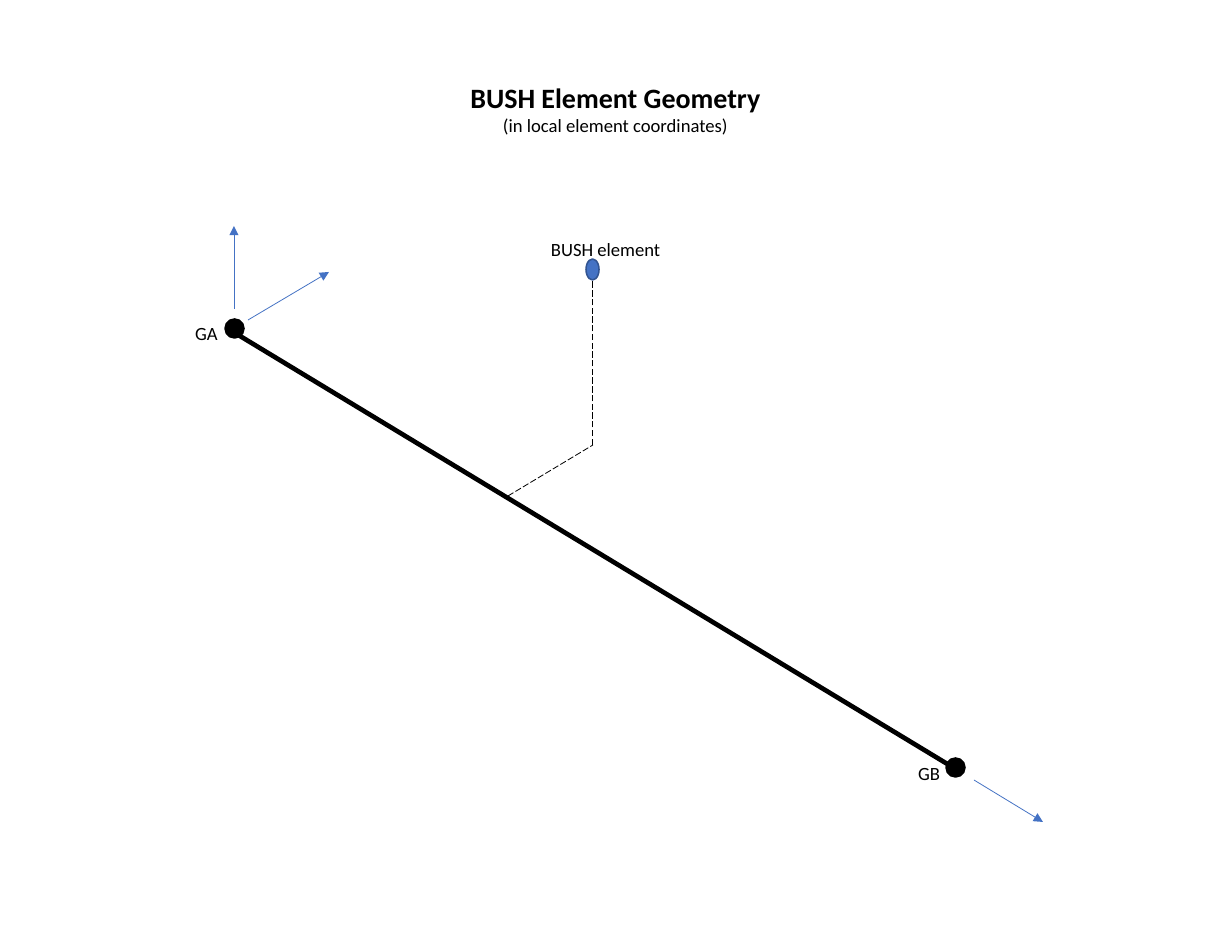
from pptx import Presentation
from pptx.dml.color import RGBColor
from pptx.enum.dml import MSO_LINE
from pptx.enum.shapes import MSO_CONNECTOR, MSO_SHAPE
from pptx.enum.text import MSO_ANCHOR, MSO_AUTO_SIZE, PP_ALIGN
from pptx.oxml.ns import qn
from pptx.util import Pt
from lxml.etree import SubElement

THEME = {
    "font": "Calibri",
    "black": RGBColor(0x00, 0x00, 0x00),
    "blue": RGBColor(0x44, 0x72, 0xC4),
    "outline": RGBColor(0x32, 0x54, 0x91),
    "title": Pt(18),
    "body": Pt(12),
}

SIZE = (1232, 952)
TITLE_BOX = (458, 75, 315, 68)
TITLE = [
    ("BUSH Element Geometry", "title", True),
    ("(in local element coordinates)", "body", False),
]
LABELS = [
    ("BUSH element", (540, 232, 133, 34)),
    ("GA", (184, 316, 46, 34)),
    ("GB", (907, 756, 45, 34)),
]
LINE_STYLES = {
    "member": {"color": "black", "width": 3, "dash": None, "arrow": False},
    "axis": {"color": "blue", "width": 0.5, "dash": None, "arrow": True},
    "offset": {"color": "black", "width": 0.5, "dash": MSO_LINE.LONG_DASH, "arrow": False},
}
LINES = [
    ("member", (235, 333, 954, 768)),
    ("axis", (974, 780, 1043, 822)),
    ("axis", (248, 320, 329, 272)),
    ("axis", (234, 309, 234, 226)),
    ("offset", (592, 445, 592, 267)),
    ("offset", (508, 496, 593, 445)),
]
BUSH = [((586, 259, 13, 21), "blue", "outline")]
NODES = [
    ((225, 319, 19, 19), "black", "black"),
    ((946, 758, 19, 19), "black", "black"),
]


def px(values):
    return [round(v * 914400 / 112) for v in values]


def write(tf, lines, align):
    for name, value in {
        "word_wrap": False,
        "auto_size": MSO_AUTO_SIZE.SHAPE_TO_FIT_TEXT,
        "vertical_anchor": MSO_ANCHOR.TOP,
    }.items():
        setattr(tf, name, value)
    for i, (text, size, bold) in enumerate(lines):
        p = tf.paragraphs[0] if i == 0 else tf.add_paragraph()
        p.alignment = align
        r = p.add_run()
        r.text = text
        font = {"name": THEME["font"], "size": THEME[size], "bold": bold}
        for name, value in font.items():
            setattr(r.font, name, value)
        r.font.color.rgb = THEME["black"]


def add_line(s, style, ends):
    fmt = LINE_STYLES[style]
    cxn = s.shapes.add_connector(MSO_CONNECTOR.STRAIGHT, *px(ends))
    cxn.line.color.rgb = THEME[fmt["color"]]
    cxn.line.width = Pt(fmt["width"])
    if fmt["dash"]:
        cxn.line.dash_style = fmt["dash"]
    if fmt["arrow"]:
        SubElement(cxn.line._get_or_add_ln(), qn("a:tailEnd"), type="triangle")
    SubElement(cxn._element.spPr, qn("a:effectLst"))


def add_ellipse(s, box, fill, outline):
    sp = s.shapes.add_shape(MSO_SHAPE.OVAL, *px(box))
    sp.shadow.inherit = False
    sp.fill.solid()
    sp.fill.fore_color.rgb = THEME[fill]
    sp.line.color.rgb = THEME[outline]
    sp.line.width = Pt(1)


def main():
    prs = Presentation()
    prs.slide_width, prs.slide_height = px(SIZE)
    s = prs.slides.add_slide(prs.slide_layouts[5])

    title = s.shapes.title
    for name, value in zip(("left", "top", "width", "height"), px(TITLE_BOX)):
        setattr(title, name, value)
    write(title.text_frame, TITLE, PP_ALIGN.CENTER)

    for style, ends in LINES:
        add_line(s, style, ends)
    for ellipse in BUSH:
        add_ellipse(s, *ellipse)
    for text, box in LABELS:
        sp = s.shapes.add_textbox(*px(box))
        write(sp.text_frame, [(text, "body", False)], PP_ALIGN.LEFT)
    for ellipse in NODES:
        add_ellipse(s, *ellipse)

    prs.save("out.pptx")


if __name__ == "__main__":
    main()
